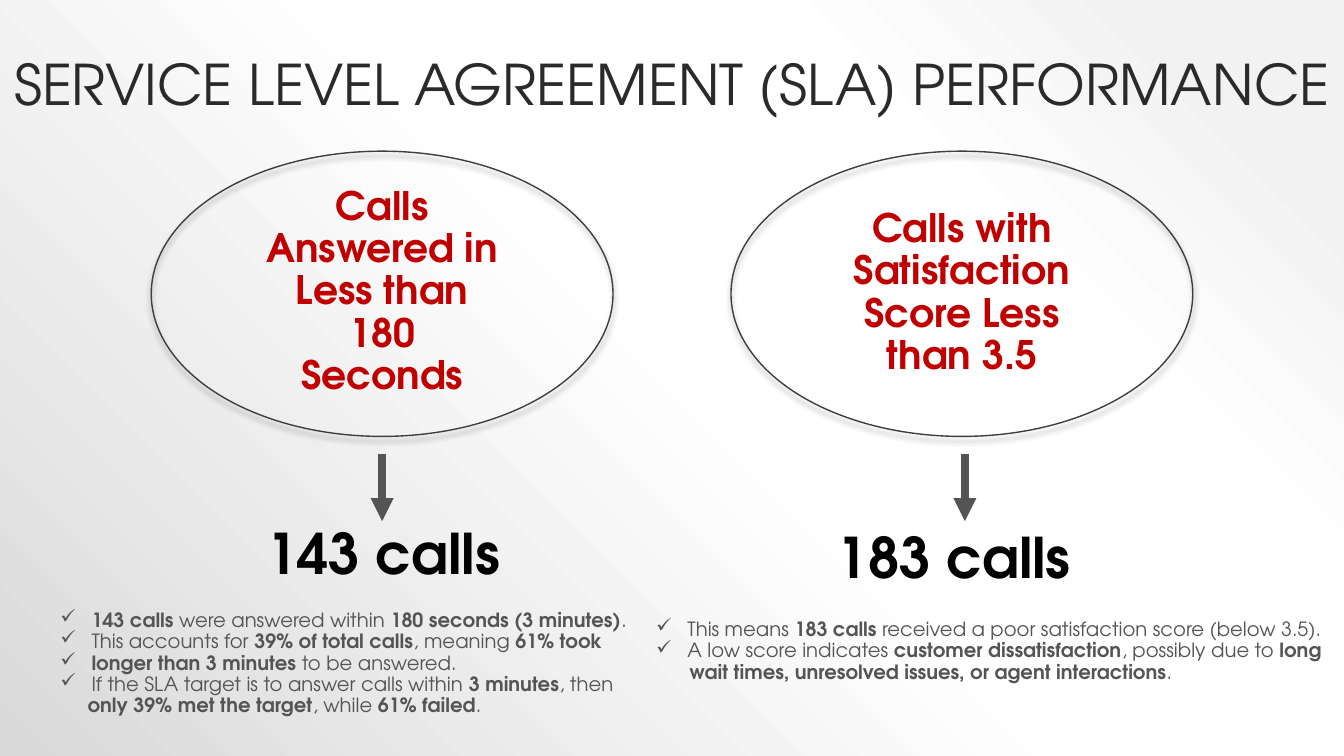
import pptx
import pptx.dml.color
import pptx.enum.shapes
import pptx.enum.text
import pptx.oxml
import pptx.oxml.ns
import pptx.util

WIDTH, HEIGHT = 13.33, 7.5
FACE = "TeX Gyre Adventor"
RED, GREY, BLACK, INK = "C00000", "545454", "000000", "2A2A2A"
OUTLINE = "3E3E3E"
OVAL_SIZE = (4.58, 2.83)
NAMESPACES = pptx.oxml.ns.nsdecls("a", "p")
STOPS = [(10, "F2F2F2"), (28, "FFFFFF"), (48, "FFFFFF"), (100, "D9D9D9")]

COLUMNS = [
    {
        "oval_left": 1.5,
        "measure": "Calls Answered in Less than 180 Seconds",
        "measure_rows": (1.8, 2.22),
        "arrow_x": 3.79,
        "result": "143 calls",
        "result_corner": (2.54, 5.17),
        "notes_box": (0.5, 6.01, 5.87, 1.16),
        "notes": [
            "**143 calls** were answered within **180 seconds (3 minutes)**.",
            "This accounts for **39% of total calls**, meaning **61% took**",
            "**longer than 3 minutes** to be answered.",
            "If the SLA target is to answer calls within **3 minutes**, then",
        ],
        "last_line": "**only 39% met the target**, while **61% failed**.",
        "last_indent": 0.27,
    },
    {
        "oval_left": 7.25,
        "measure": "Calls with Satisfaction Score Less than 3.5",
        "measure_rows": (2.02, 1.8),
        "arrow_x": 9.57,
        "result": "183 calls",
        "result_corner": (8.2, 5.21),
        "notes_box": (6.41, 6.1, 6.92, 0.74),
        "notes": [
            "This means **183 calls** received a poor satisfaction score (below 3.5).",
            "A low score indicates **customer dissatisfaction**, possibly due to **long**",
        ],
        "last_line": "**wait times, unresolved issues, or agent interactions**.",
        "last_indent": 0.33,
    },
]


def inches(*lengths):
    """Convert lengths in inches to a list of slide units."""
    return [pptx.util.Inches(length) for length in lengths]


def color(value):
    """Turn a hex string into a colour."""
    return pptx.dml.color.RGBColor.from_string(value)


def add_xml(parent, markup):
    """Append one drawing element, given as markup, to its parent."""
    tag, rest = markup[1:].split(" ", 1)
    parent.append(pptx.oxml.parse_xml(f"<{tag} {NAMESPACES} {rest}"))


def style_span(span, size, ink, bold=False):
    """Format one run of text."""
    span.font.name = FACE
    span.font.size = pptx.util.Pt(size)
    span.font.bold = bold
    span.font.color.rgb = color(ink)


def add_text_box(slide, box, wrap):
    """Add an empty text box that grows with its text."""
    frame = slide.shapes.add_textbox(*inches(*box)).text_frame
    frame.word_wrap = wrap
    frame.auto_size = pptx.enum.text.MSO_AUTO_SIZE.SHAPE_TO_FIT_TEXT
    return frame


def add_heading(slide, box, text, size, ink, wrap, align):
    """Add a bold one-paragraph text box."""
    para = add_text_box(slide, box, wrap).paragraphs[0]
    para.text = text
    para.alignment = align
    para.line_spacing = 0.9
    style_span(para.runs[0], size, ink, bold=True)


def add_background(slide):
    """Fill the slide with a soft gradient centred on its top right corner."""
    stops = "".join(
        f'<a:gs pos="{share * 1000}"><a:srgbClr val="{value}"/></a:gs>'
        for share, value in STOPS
    )
    slide.element.cSld.insert(0, pptx.oxml.parse_xml(
        f'<p:bg {NAMESPACES}><p:bgPr><a:gradFill rotWithShape="1">'
        f'<a:gsLst>{stops}</a:gsLst><a:path path="circle">'
        '<a:fillToRect l="100000" b="100000"/></a:path></a:gradFill>'
        '<a:effectLst/></p:bgPr></p:bg>'
    ))


def add_title(slide, box, text):
    """Place and format the slide title."""
    title = slide.shapes.title
    title.left, title.top, title.width, title.height = inches(*box)
    frame = title.text_frame
    frame.text = text
    frame.auto_size = pptx.enum.text.MSO_AUTO_SIZE.NONE
    frame.vertical_anchor = pptx.enum.text.MSO_ANCHOR.BOTTOM
    para = frame.paragraphs[0]
    para.alignment = pptx.enum.text.PP_ALIGN.CENTER
    para.line_spacing = 0.9
    style_span(para.runs[0], 40, INK)


def add_oval(slide, box):
    """Draw an unfilled ellipse with a soft shadow below it."""
    oval = slide.shapes.add_shape(
        pptx.enum.shapes.MSO_SHAPE.OVAL, *inches(*box))
    oval.fill.background()
    oval.line.color.rgb = color(OUTLINE)
    oval.line.width = pptx.util.Pt(1)
    oval.shadow.inherit = False
    effects = oval.element.spPr.find(pptx.oxml.ns.qn("a:effectLst"))
    add_xml(effects, '<a:outerShdw blurRad="50800" dist="38100" dir="5400000" '
                     'algn="t" rotWithShape="0"><a:srgbClr val="000000">'
                     '<a:alpha val="40000"/></a:srgbClr></a:outerShdw>')


def add_arrow(slide, x, top, bottom):
    """Draw a thick arrow pointing down."""
    arrow = slide.shapes.add_connector(
        pptx.enum.shapes.MSO_CONNECTOR.STRAIGHT, *inches(x, top, x, bottom))
    arrow.line.color.rgb = color(GREY)
    arrow.line.width = pptx.util.Pt(5.5)
    add_xml(arrow.line._get_or_add_ln(), '<a:tailEnd type="triangle"/>')
    add_xml(arrow.element.spPr, '<a:effectLst />')


def add_notes(slide, box, notes, last_line, last_indent):
    """Write check-marked lines and an indented last line; ** marks bold."""
    frame = add_text_box(slide, box, False)
    for index, line in enumerate(notes + [last_line]):
        para = frame.add_paragraph() if index else frame.paragraphs[0]
        para.line_spacing = 0.9
        checked = index < len(notes)
        margin, = inches(0.31 if checked else last_indent)
        properties = para._p.get_or_add_pPr()
        properties.set("marL", str(margin))
        properties.set("indent", str(-margin if checked else 0))
        if checked:
            add_xml(properties, '<a:buChar char="✓"/>')
        for part, text in enumerate(line.split("**")):
            if text:
                span = para.add_run()
                span.text = text
                style_span(span, 14, GREY, bold=part % 2 == 1)


def add_column(slide, column):
    """Build one measure: ellipse, arrow, result and explanation."""
    left, top = column["oval_left"], HEIGHT / 5
    align = pptx.enum.text.PP_ALIGN
    measure_top, measure_height = column["measure_rows"]
    add_oval(slide, (left, top, *OVAL_SIZE))
    add_heading(slide, (left + 1.04, measure_top, 2.5, measure_height),
                column["measure"], 28, RED, True, align.CENTER)
    add_arrow(slide, column["arrow_x"], top + 3, top + 3.67)
    add_heading(slide, (*column["result_corner"], 2.55, 0.71),
                column["result"], 40, BLACK, False, align.LEFT)
    add_notes(slide, column["notes_box"], column["notes"],
              column["last_line"], column["last_indent"])


def main():
    """Build the deck and save it."""
    deck = pptx.Presentation()
    deck.slide_width, deck.slide_height = inches(WIDTH, HEIGHT)
    slide = deck.slides.add_slide(deck.slide_layouts[5])
    add_background(slide)
    add_title(slide, (0, 0.3, WIDTH, 0.92),
              "SERVICE LEVEL AGREEMENT (SLA) PERFORMANCE")
    for column in COLUMNS:
        add_column(slide, column)
    deck.save("out.pptx")


if __name__ == "__main__":
    main()
